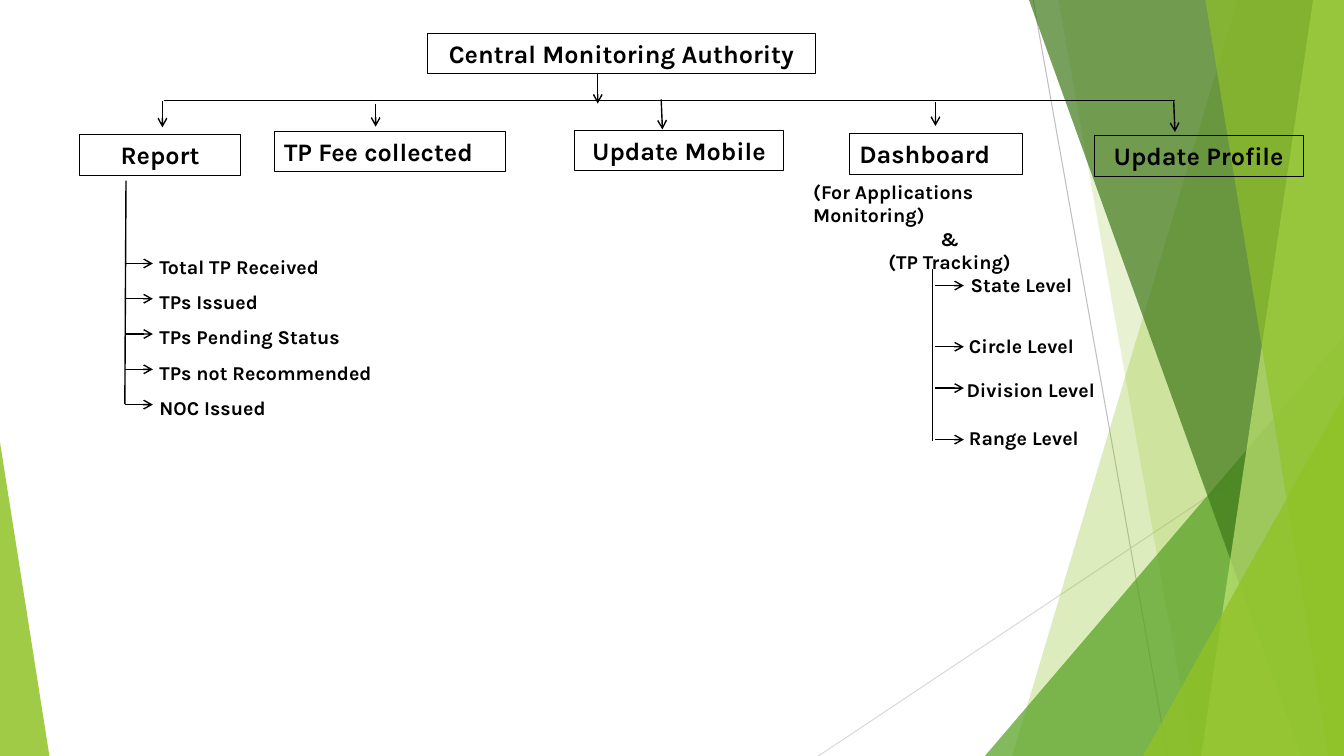
from dataclasses import dataclass

from lxml import etree
from pptx import Presentation
from pptx.dml.color import RGBColor
from pptx.enum.shapes import MSO_CONNECTOR, MSO_SHAPE
from pptx.enum.text import MSO_ANCHOR, MSO_AUTO_SIZE, PP_ALIGN
from pptx.oxml.ns import qn
from pptx.util import Pt

STRAIGHT = MSO_CONNECTOR.STRAIGHT
RECTANGLE, TRIANGLE = MSO_SHAPE.RECTANGLE, MSO_SHAPE.ISOSCELES_TRIANGLE
LEFT, CENTER = PP_ALIGN.LEFT, PP_ALIGN.CENTER
TOP = MSO_ANCHOR.TOP
NO_AUTOFIT = MSO_AUTO_SIZE.NONE
TITLE_AND_CONTENT = 1
PAGE_WIDTH, PAGE_HEIGHT = 960, 540


@dataclass(frozen=True)
class Theme:
    font: str = "Karla"
    heading_size: int = 18
    label_size: int = 14
    outline_width: float = 0.75
    arrow_width: float = 1
    ink: str = "000000"
    gray: str = "BFBFBF"
    light_gray: str = "D9D9D9"
    green: str = "90C226"
    mid_green: str = "54A021"
    dark_green: str = "3F7819"
    pale_green: str = "C0E474"


THEME = Theme()

# Top x, bottom x, colour, opacity in percent
BANDS_BEHIND = [(884, 723, THEME.green, 30), (756, 852, THEME.green, 20)]
BANDS_FRONT = [
    (735, 929.5, THEME.dark_green, 70),
    (938, 858, THEME.pale_green, 70),
    (861, 949, THEME.green, 65),
]
# Left, top, width, apex position, colour, opacity in percent
BACK_TRIANGLE = (703.5, 240, 256.5, 1, THEME.mid_green, 72)
FRONT_TRIANGLES = [
    (816.5, 283, 143.5, 1, THEME.green, 80),
    (0, 316, 35.3, 0, THEME.green, 85),
]

# Text, left, top, width, alignment
MODULES = [
    ("Report", 56.7, 96.3, 115.3, CENTER),
    ("TP Fee collected", 195.8, 93.8, 165, LEFT),
    ("Update Mobile", 410.4, 92.9, 149.2, CENTER),
    ("Dashboard", 606.8, 95.5, 123.8, LEFT),
    ("Update Profile", 781.5, 97, 149.5, CENTER),
]
# Start and end of the arrow into each module
MODULE_ARROWS = [
    (116, 72, 116, 91),
    (268.3, 74, 268.3, 90.5),
    (472.3, 71, 473.2, 92.5),
    (668.2, 73, 668.2, 90),
    (838.4, 72.5, 839.3, 94.3),
]
REPORTS = [
    "Total TP Received",
    "TPs Issued",
    "TPs Pending Status",
    "TPs not Recommended",
    "NOC Issued",
]
FIRST_REPORT_Y, REPORT_STEP = 188.2, 25.2
# Text, left, top, arrow y
LEVELS = [
    ("State Level", 686.2, 191.5, 204),
    ("Circle Level", 685, 234.7, 247.7),
    ("Division Level", 683.3, 266.4, 277.2),
    ("Range Level", 685, 301, 314),
]


def paint(shape, color, opacity):
    shape.shadow.inherit = False
    shape.line.fill.background()
    shape.fill.solid()
    shape.fill.fore_color.rgb = RGBColor.from_string(color)
    clr = shape.fill._xPr.find(qn("a:solidFill"))[0]
    etree.SubElement(clr, qn("a:alpha"), val=str(opacity * 1000))


def add_band(page, top_x, bottom_x, color, opacity):
    """Draw a full-height facet that reaches the right page edge."""
    builder = page.shapes.build_freeform(Pt(top_x), 0)
    builder.add_line_segments([
        (Pt(PAGE_WIDTH), 0),
        (Pt(PAGE_WIDTH), Pt(PAGE_HEIGHT)),
        (Pt(bottom_x), Pt(PAGE_HEIGHT)),
    ])
    paint(builder.convert_to_shape(), color, opacity)


def add_triangle(page, left, top, width, apex, color, opacity):
    """Draw a facet that stands on the bottom page edge."""
    triangle = page.shapes.add_shape(
        TRIANGLE, Pt(left), Pt(top), Pt(width), Pt(PAGE_HEIGHT - top))
    triangle.adjustments[0] = apex
    paint(triangle, color, opacity)


def add_line(page, x1, y1, x2, y2, color=THEME.ink,
             width=THEME.arrow_width, arrow=False):
    line = page.shapes.add_connector(STRAIGHT, Pt(x1), Pt(y1), Pt(x2), Pt(y2))
    line.line.color.rgb = RGBColor.from_string(color)
    line.line.width = Pt(width)
    if arrow:
        etree.SubElement(line.line._get_or_add_ln(), qn("a:tailEnd"), type="arrow")
    etree.SubElement(line._element.spPr, qn("a:effectLst"))


def write(shape, lines, size, alignments):
    frame = shape.text_frame
    frame.text = "\n".join(lines)
    frame.word_wrap = True
    frame.auto_size = NO_AUTOFIT
    frame.vertical_anchor = TOP
    for para, alignment in zip(frame.paragraphs, alignments):
        para.alignment = alignment
        para.font.name = THEME.font
        para.font.size = Pt(size)
        para.font.bold = True
        para.font.color.rgb = RGBColor.from_string(THEME.ink)


def place(shape, left, top, width, height):
    shape.left, shape.top = Pt(left), Pt(top)
    shape.width, shape.height = Pt(width), Pt(height)


def outline(shape):
    shape.line.color.rgb = RGBColor.from_string(THEME.ink)
    shape.line.width = Pt(THEME.outline_width)


def add_module(page, text, left, top, width, alignment):
    box = page.shapes.add_shape(RECTANGLE, Pt(left), Pt(top), Pt(width), Pt(29))
    box.shadow.inherit = False
    box.fill.background()
    outline(box)
    write(box, [text], THEME.heading_size, [alignment])


def add_label(page, lines, left, top, height, alignments):
    label = page.shapes.add_textbox(Pt(left), Pt(top), Pt(209), Pt(height))
    write(label, lines, THEME.label_size, alignments)


def add_backdrop(page):
    add_line(page, 738, 0, 834, PAGE_HEIGHT, THEME.gray, THEME.outline_width)
    add_line(page, PAGE_WIDTH, 290, 584.6, PAGE_HEIGHT,
             THEME.light_gray, THEME.outline_width)
    for band in BANDS_BEHIND:
        add_band(page, *band)
    add_triangle(page, *BACK_TRIANGLE)
    for band in BANDS_FRONT:
        add_band(page, *band)
    for triangle in FRONT_TRIANGLES:
        add_triangle(page, *triangle)


def add_reports(page):
    body = page.placeholders[1]
    place(body, 106.6, 170, 215.3, 173.5)
    write(body, REPORTS, THEME.label_size, [LEFT] * len(REPORTS))
    for para in body.text_frame.paragraphs:
        para.line_spacing = 1.5
        para.space_before = Pt(0)
        properties = para._p.get_or_add_pPr()
        properties.set("marL", "0")
        properties.set("indent", "0")
        no_bullet = etree.Element(qn("a:buNone"))
        properties.find(qn("a:defRPr")).addprevious(no_bullet)
    add_line(page, 90, 129, 89.2, 288.5)
    for row in range(len(REPORTS)):
        y = FIRST_REPORT_Y + row * REPORT_STEP
        add_line(page, 89, y, 109.2, y, arrow=True)


def add_levels(page):
    add_label(page, ["(For Applications Monitoring)", "&", "(TP Tracking)"],
              573.8, 124.6, 58.3, [LEFT, CENTER, CENTER])
    add_line(page, 666.2, 192, 666.2, 314.8)
    for text, left, top, y in LEVELS:
        add_label(page, [text], left, top, 24.5, [LEFT])
        add_line(page, 667.8, y, 688.5, y, arrow=True)


def main():
    deck = Presentation()
    deck.slide_width, deck.slide_height = Pt(PAGE_WIDTH), Pt(PAGE_HEIGHT)
    page = deck.slides.add_slide(deck.slide_layouts[TITLE_AND_CONTENT])
    add_backdrop(page)
    title = page.shapes.title
    place(title, 305.3, 23.8, 277.2, 29)
    outline(title)
    write(title, ["Central Monitoring Authority"], THEME.heading_size, [CENTER])
    add_line(page, 427, 52.8, 427, 74, arrow=True)
    add_line(page, 117, 72, 839.3, 72)
    for arrow in MODULE_ARROWS:
        add_line(page, *arrow, arrow=True)
    for module in MODULES:
        add_module(page, *module)
    add_reports(page)
    add_levels(page)
    deck.save("out.pptx")


if __name__ == "__main__":
    main()
